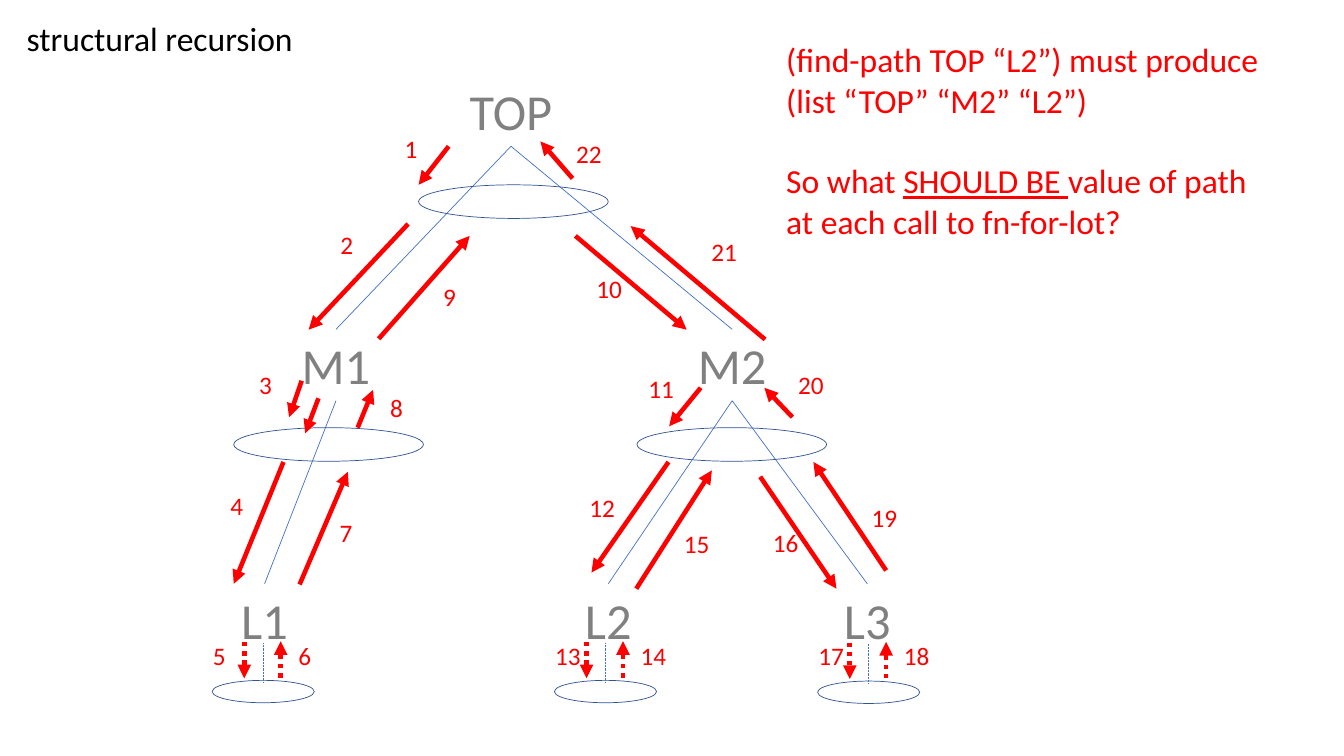
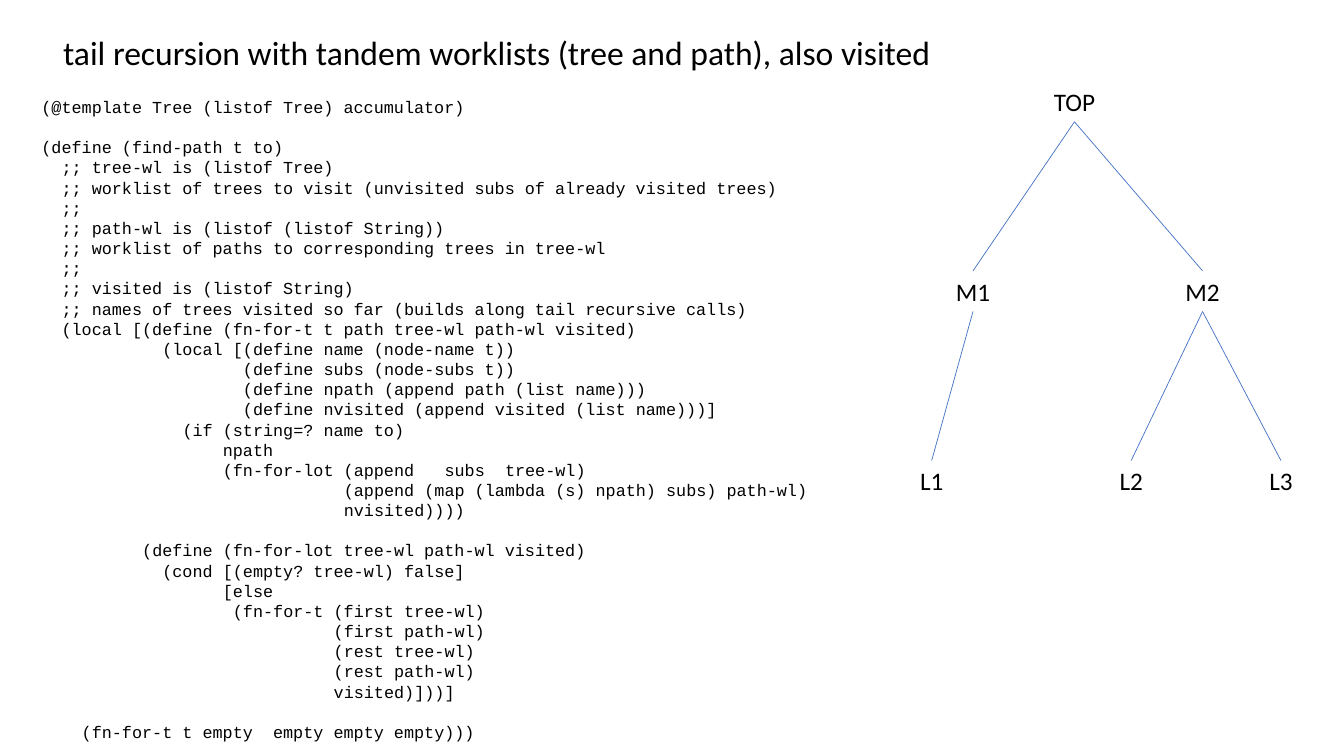
from lxml import etree
from pptx import Presentation
from pptx.dml.color import RGBColor
from pptx.enum import dml, shapes, text
from pptx.oxml import ns
from pptx.util import Pt

COLORS = {"black": "000000", "grey": "808080", "red": "FF0000",
          "blue": "4472C4", "navy": "325491"}
EDGES = [("TOP", "M1"), ("M1", "L1"), ("TOP", "M2"), ("M2", "L2"), ("M2", "L3")]
LEVELS = {"T": 0, "M": 1, "L": 2}

# number: label left and top, then arrow start and end
STEPS = {
    1: (282, 92, 320.5, 104.5, 299, 132),
    2: (236, 160.5, 291.5, 160, 220.5, 235.5),
    3: (178, 260.5, 215.5, 272, 206.5, 298),
    4: (157.5, 346.5, 202.5, 330, 167, 417),
    7: (235.5, 366, 214, 417.5, 248.5, 337),
    8: (271.5, 276.5, 255.5, 305.5, 266.5, 278.5),
    9: (309.5, 197.5, 270.5, 242, 335.5, 168.5),
    10: (419, 192, 411, 168.5, 490.5, 235.5),
    11: (456, 263, 500.5, 277, 478, 304.5),
    12: (414, 348, 477.5, 330, 422.5, 409),
    15: (481.5, 373.5, 454.5, 420.5, 508.5, 336),
    16: (545, 373, 543, 340.5, 597.5, 420.5),
    19: (615.5, 355, 633, 407.5, 581, 330),
    20: (563, 260.5, 566, 298, 546, 277),
    21: (501, 165, 546.5, 242.5, 450.5, 161.5),
    22: (404.5, 95, 409, 127.5, 386, 101),
}

# blocks of (column, words), with a blank line between blocks
CODE = [
    [(0, "(@template Tree (listof Tree) accumulator)")],
    [(0, "(define (find-path t to)"),
     (2, ";; tree-wl is (listof Tree)"),
     (2, ";; worklist of trees to visit (unvisited subs of already visited trees)"),
     (2, ";;"),
     (2, ";; path-wl is (listof (listof String))"),
     (2, ";; worklist of paths to corresponding trees in tree-wl"),
     (2, ";;"),
     (2, ";; visited is (listof String)"),
     (2, ";; names of trees visited so far (builds along tail recursive calls)"),
     (2, "(local [(define (fn-for-t t path tree-wl path-wl visited)"),
     (12, "(local [(define name (node-name t))"),
     (20, "(define subs (node-subs t))"),
     (20, "(define npath (append path (list name)))"),
     (20, "(define nvisited (append visited (list name)))]"),
     (14, "(if (string=? name to)"),
     (18, "npath"),
     (18, "(fn-for-lot (append\tsubs  tree-wl)"),
     (30, "(append (map (lambda (s) npath) subs) path-wl)"),
     (30, "nvisited))))")],
    [(10, "(define (fn-for-lot tree-wl path-wl visited)"),
     (12, "(cond [(empty? tree-wl) false]"),
     (18, "[else"),
     (19, "(fn-for-t (first tree-wl)"),
     (29, "(first path-wl)"),
     (29, "(rest tree-wl)"),
     (29, "(rest path-wl)"),
     (29, "visited)]))]")],
    [(4, "(fn-for-t t empty  empty empty empty)))")],
]
CODE_SIZE = 12
CODE_CHAR = 7.2
TAB_COLUMN = 62


def assign(target, values):
    for name, value in values.items():
        setattr(target, name, value)


class Deck:
    def __init__(self):
        self.show = Presentation()
        assign(self.show, {"slide_width": Pt(960), "slide_height": Pt(540)})
        self.page = None

    def new_page(self):
        self.page = self.show.slides.add_slide(self.show.slide_layouts[6])

    def text_box(self, left, top, width, height, wrap=True):
        box = self.page.shapes.add_textbox(Pt(left), Pt(top), Pt(width), Pt(height))
        assign(box.text_frame, {"word_wrap": wrap,
                                "auto_size": text.MSO_AUTO_SIZE.SHAPE_TO_FIT_TEXT})
        return box

    def para(self, box, spans, size, color="black", font="Calibri", **layout):
        """Fill the first empty paragraph or add one; spans are (words, underline)."""
        para = box.text_frame.paragraphs[-1]
        if para.runs:
            para = box.text_frame.add_paragraph()
        assign(para, layout)
        for words, underline in spans:
            span = para.add_run()
            span.text = words
            assign(span.font, {"name": font, "size": Pt(size), "underline": underline})
            span.font.color.rgb = RGBColor.from_string(COLORS[color])
        return para

    def label(self, words, left, top, width, height, size, color="black",
              wrap=True, **layout):
        box = self.text_box(left, top, width, height, wrap)
        self.para(box, [(words, None)], size, color, **layout)
        return box

    def title(self, words, left, top, width):
        self.label(words, left, top, width, 36, 24)

    def number(self, value, left, top):
        width = 24 if value < 10 else 33
        self.label(str(value), left, top, width, 29, 18, "red", wrap=False)

    def line(self, x1, y1, x2, y2, color="blue", width=0.5, dotted=False, arrow=False):
        line = self.page.shapes.add_connector(
            shapes.MSO_CONNECTOR.STRAIGHT, Pt(x1), Pt(y1), Pt(x2), Pt(y2))
        line.line.width = Pt(width)
        line.line.color.rgb = RGBColor.from_string(COLORS[color])
        if dotted:
            line.line.dash_style = dml.MSO_LINE.ROUND_DOT
        properties = line._element.spPr
        if arrow:
            outline = properties.find(ns.qn("a:ln"))
            etree.SubElement(outline, ns.qn("a:tailEnd"), type="triangle")
        etree.SubElement(properties, ns.qn("a:effectLst"))
        return line

    def arrow(self, x1, y1, x2, y2, dotted=False):
        self.line(x1, y1, x2, y2, "red", 3.25, dotted, arrow=True)

    def ellipse(self, left, top, width, height):
        ring = self.page.shapes.add_shape(
            shapes.MSO_SHAPE.OVAL, Pt(left), Pt(top), Pt(width), Pt(height))
        ring.shadow.inherit = False
        ring.fill.background()
        ring.line.width = Pt(0.5)
        ring.line.color.rgb = RGBColor.from_string(COLORS["navy"])

    def tree(self, centers, top, step, width, height, size, color):
        """Draw the named nodes on three levels and join parents to children."""
        nodes = {}
        for name, center in centers.items():
            span = width * 1.27 if name == "TOP" else width
            nodes[name] = self.label(
                name, center - span / 2, top + step * LEVELS[name[0]], span, height,
                size, color, alignment=text.PP_ALIGN.CENTER)
        for parent, child in EDGES:
            edge = self.line(0, 0, 0, 0)
            edge.begin_connect(nodes[parent], 2)
            edge.end_connect(nodes[child], 0)

    def leaf_call(self, center, top, first):
        """Draw the dotted call and return below a leaf, numbered from first."""
        self.ellipse(center - 36.5, top + 28, 73, 16)
        self.line(center, top + 1.5, center, top + 30, dotted=True)
        self.arrow(center - 13.5, top + 0.5, center - 13.5, top + 26.5, dotted=True)
        self.arrow(center + 12.5, top + 26, center + 12.5, top, dotted=True)
        self.number(first, center - 43, 453.5)
        self.number(first + 1, center + 18, 453.5)

    def code(self, blocks, left, top, width, height):
        """Indent each row to its column and leave one line between blocks."""
        box = self.text_box(left, top, width, height)
        pitch = CODE_SIZE * 1.2
        for block_index, block in enumerate(blocks):
            for row_index, (column, words) in enumerate(block):
                gap = pitch if block_index and not row_index else 0
                para = self.para(box, [(words, None)], CODE_SIZE, font="Courier New",
                                 line_spacing=Pt(pitch), space_before=Pt(gap))
                properties = para._p.get_or_add_pPr()
                properties.set("marL", "0")
                properties.set("indent", str(Pt(column * CODE_CHAR)))
                if "\t" in words:
                    stops = etree.SubElement(properties, ns.qn("a:tabLst"))
                    etree.SubElement(stops, ns.qn("a:tab"), algn="l",
                                     pos=str(Pt(TAB_COLUMN * CODE_CHAR)))


def structural_recursion(deck):
    deck.new_page()
    deck.tree({"L1": 189, "L2": 434.5, "L3": 619.5, "M1": 240, "M2": 523, "TOP": 365},
              53.5, 181.75, 70, 51, 36, "grey")
    for left, top in [(299, 132), (167, 305.5), (455, 305.5)]:
        deck.ellipse(left, top, 135.5, 24)
    for value, (left, top, *ends) in STEPS.items():
        deck.arrow(*ends)
        deck.number(value, left, top)
    deck.arrow(227.5, 284.5, 218, 309.5)
    for center, top, first in [(188, 458, 5), (432.5, 458, 13), (620.5, 458.5, 17)]:
        deck.leaf_call(center, top, first)
    deck.title("structural recursion", 12, 9.5, 397)

    question = deck.text_box(554.5, 24.5, 356.5, 152.5)
    pitch = Pt(28.8)
    deck.para(question,
              [("(find-path TOP “L2”) must produce (list “TOP” “M2” “L2”)", None)],
              24, "red", line_spacing=pitch)
    deck.para(question,
              [("So what ", None), ("SHOULD BE ", True),
               ("value of path at each call to fn-for-lot?", None)],
              24, "red", line_spacing=pitch, space_before=pitch)


def tail_recursion(deck):
    deck.new_page()
    deck.tree({"L1": 665.5, "L2": 808, "L3": 915, "M1": 695, "M2": 859, "TOP": 767.5},
              58, 135.5, 40.5, 29, 18, "black")
    deck.code(CODE, 22.5, 65.5, 697.5, 472.5)
    deck.title("tail recursion with tandem worklists (tree and path), also visited",
               38, 19, 650)


def main():
    deck = Deck()
    structural_recursion(deck)
    tail_recursion(deck)
    deck.show.save("out.pptx")


if __name__ == "__main__":
    main()
